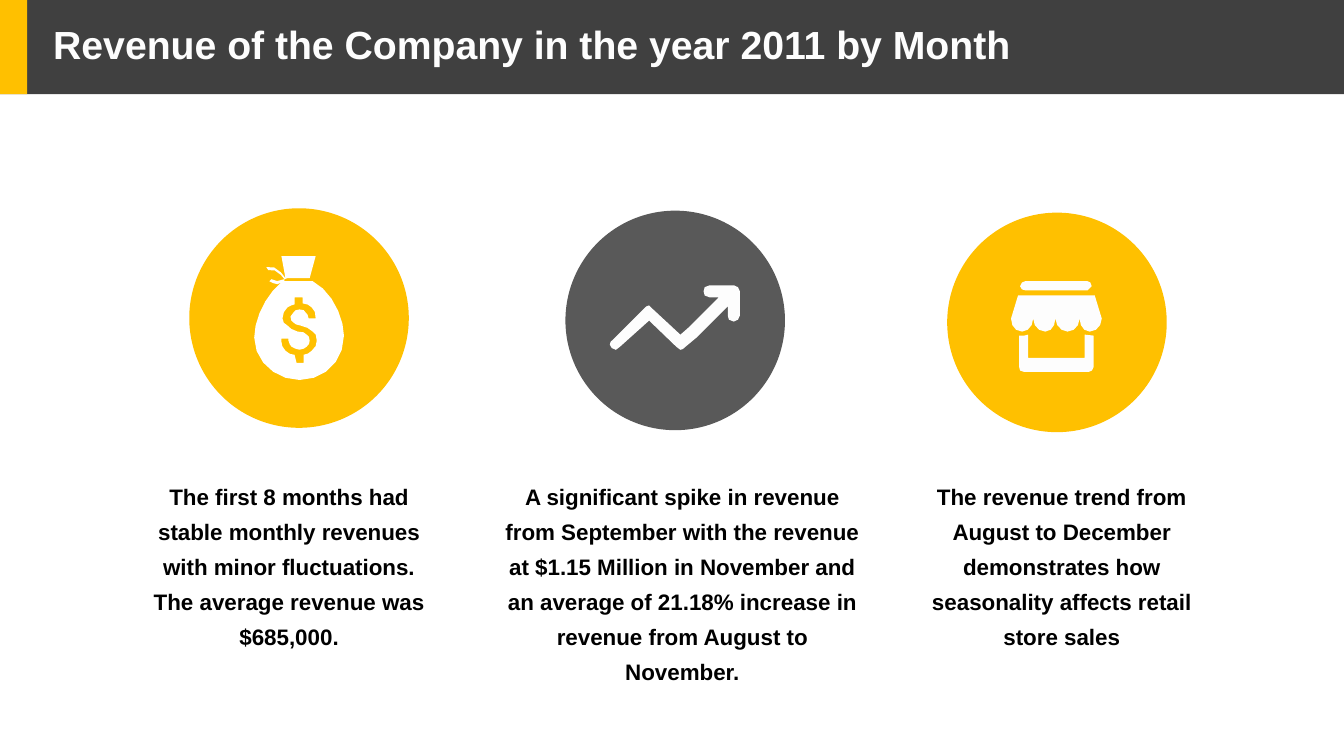
from dataclasses import dataclass
from math import dist, sqrt

from pptx import Presentation
from pptx.dml.color import RGBColor
from pptx.enum.shapes import MSO_SHAPE as Preset
from pptx.enum.text import MSO_ANCHOR as Anchor, MSO_AUTO_SIZE as AutoSize, PP_ALIGN as Align
from pptx.util import Pt


@dataclass(frozen=True)
class Theme:
    font: str = "Arial"
    band: str = "404040"
    accent: str = "FFC000"
    gray: str = "595959"
    light: str = "FDFDFD"
    white: str = "FFFFFF"
    ink: str = "000000"
    title_size: float = 28
    text_size: float = 16


# Icon outlines, one list per contour, in units of 0.72 pt:
# a pair is a corner, six numbers are a curve (two controls, then its end).
ICON_UNIT = 0.72

MONEY_BAG = [
    # Bag with its tie
    [(58, 25), (30, 25), (30, 23), (33, 22), (55, 22), (61, 0), (27, 0), (31, 22),
     (28, 17, 20, 8, 12, 11), (14, 14), (20, 11, 28, 20, 30, 23),
     (25, 25, 20, 26, 17, 23), (15, 25), (17, 26, 20, 28, 23, 28),
     (24, 28, 25, 28, 27, 26), (12, 38, 0, 62, 0, 81), (0, 104, 21, 123, 45, 123),
     (70, 123, 89, 104, 89, 79), (89, 60, 76, 34, 58, 25)],
    # Dollar sign cut out of the bag
    [(57, 94), (55, 97, 52, 97, 49, 98), (49, 106), (42, 106), (40, 98),
     (37, 98, 34, 97, 31, 94), (28, 91, 27, 88, 27, 85), (27, 82), (34, 82), (34, 84),
     (34, 87, 36, 88, 37, 90), (39, 91, 42, 93, 45, 93), (48, 93, 51, 91, 52, 90),
     (54, 88, 55, 87, 55, 84), (55, 81, 54, 79, 52, 78), (51, 76, 48, 75, 43, 75),
     (39, 73, 34, 72, 33, 69), (30, 68, 28, 65, 28, 62), (28, 57, 30, 54, 33, 51),
     (36, 50, 37, 48, 40, 48), (40, 41), (48, 41), (48, 47),
     (52, 48, 55, 48, 57, 51), (60, 53, 61, 57, 61, 62), (54, 62),
     (54, 59, 52, 57, 51, 56), (51, 54, 48, 53, 45, 53), (42, 53, 40, 54, 39, 56),
     (37, 57, 36, 59, 36, 60), (36, 63, 37, 65, 39, 66), (40, 68, 42, 68, 46, 69),
     (51, 70, 55, 72, 58, 75), (61, 76, 62, 79, 62, 84), (62, 88, 61, 91, 57, 94)],
]

TREND_ARROW = [
    [(123, 36), (118, 36, 117, 33, 117, 30), (117, 21), (87, 51), (75, 61),
     (73, 63, 72, 64, 70, 64), (69, 64, 67, 63, 66, 61), (39, 35), (10, 61),
     (9, 63, 7, 64, 6, 64), (3, 64, 0, 61, 0, 59), (0, 57, 1, 55, 3, 54), (34, 23),
     (36, 21, 37, 20, 39, 20), (40, 20, 42, 21, 42, 23), (70, 49), (78, 42), (82, 38),
     (108, 12), (99, 12), (94, 12, 93, 9, 93, 6), (93, 3, 94, 0, 99, 0), (123, 0),
     (126, 0, 129, 3, 129, 6), (129, 30), (129, 33, 126, 36, 123, 36)],
]

STORE = [
    # Awning
    [(90, 37), (90, 44, 85, 50, 78, 50), (72, 50, 68, 44, 68, 37),
     (68, 44, 63, 50, 56, 50), (50, 50, 44, 44, 44, 37), (44, 44, 40, 50, 34, 50),
     (27, 50, 22, 44, 22, 37), (22, 44, 17, 50, 11, 50), (4, 50, 0, 44, 0, 37),
     (7, 14), (83, 14)],
    # Roof bar
    [(76, 9), (14, 9), (12, 9, 9, 8, 9, 5), (9, 2, 12, 0, 14, 0), (76, 0),
     (78, 0, 80, 2, 80, 5), (80, 8, 78, 9, 76, 9)],
    # Shop front
    [(13, 54), (17, 53), (17, 76), (73, 76), (73, 53), (82, 54), (82, 85),
     (82, 88, 79, 90, 77, 90), (13, 90), (9, 90, 8, 88, 8, 85), (8, 54)],
]


def flatten(contour):
    """Turn corners and cubic curves into points, fewer for short curves."""
    points = [contour[0]]
    for segment in contour[1:]:
        if len(segment) == 2:
            points.append(segment)
            continue
        x0, y0 = points[-1]
        x1, y1, x2, y2, x3, y3 = segment
        steps = max(1, round(sqrt(dist((x0, y0), (x3, y3))) / 1.6))
        for step in range(1, steps + 1):
            t = step / steps
            a, b, c, d = (1 - t) ** 3, 3 * t * (1 - t) ** 2, 3 * t * t * (1 - t), t ** 3
            points.append((a * x0 + b * x1 + c * x2 + d * x3,
                           a * y0 + b * y1 + c * y2 + d * y3))
    # The contour closes itself, so a repeated start is dropped
    return points[:-1] if points[-1] == points[0] else points


def write(frame, text, *, font, size, color, align, spacing, margins=(0, 0),
          wrap=True, anchor=Anchor.TOP):
    """Put one bold formatted paragraph into a text frame."""
    frame.word_wrap = wrap
    frame.auto_size = AutoSize.SHAPE_TO_FIT_TEXT
    frame.vertical_anchor = anchor
    frame.margin_left = frame.margin_right = Pt(margins[0])
    frame.margin_top = frame.margin_bottom = Pt(margins[1])
    para = frame.paragraphs[0]
    para.alignment, para.line_spacing, para.space_before = align, spacing, Pt(0)
    span = para.add_run()
    span.text = text
    span.font.name, span.font.size, span.font.bold = font, Pt(size), True
    span.font.color.rgb = RGBColor.from_string(color)


class SlideBuilder:
    def __init__(self, page, theme):
        self.page, self.theme = page, theme

    def paint(self, shape, color):
        shape.shadow.inherit = False
        shape.fill.solid()
        shape.fill.fore_color.rgb = RGBColor.from_string(color)
        shape.line.fill.background()

    def shape(self, preset, left, top, width, height, color):
        shape = self.page.shapes.add_shape(
            preset, Pt(left), Pt(top), Pt(width), Pt(height))
        self.paint(shape, color)

    def icon(self, contours, left, top, color):
        unit = Pt(ICON_UNIT)
        builder = None
        for contour in contours:
            points = [(x * unit, y * unit) for x, y in flatten(contour)]
            if builder is None:
                builder = self.page.shapes.build_freeform(*points[0])
            else:
                builder.move_to(*points[0])
            builder.add_line_segments(points[1:], close=True)
        self.paint(builder.convert_to_shape(Pt(left), Pt(top)), color)

    def title(self, text, left, top, width, height):
        box = self.page.shapes.title
        box.left, box.top, box.width, box.height = map(Pt, (left, top, width, height))
        # Bring the title in front of the header band
        box.element.getparent().append(box.element)
        write(box.text_frame, text, font=self.theme.font, size=self.theme.title_size,
              color=self.theme.light, align=Align.LEFT, spacing=0.9,
              margins=(7.2, 3.6), wrap=False, anchor=Anchor.MIDDLE)

    def text(self, text, left, top, width, height):
        box = self.page.shapes.add_textbox(Pt(left), Pt(top), Pt(width), Pt(height))
        write(box.text_frame, text, font=self.theme.font, size=self.theme.text_size,
              color=self.theme.ink, align=Align.CENTER, spacing=1.3)


def main():
    deck = Presentation()
    deck.slide_width, deck.slide_height = Pt(960), Pt(540)
    theme = Theme()
    slide = SlideBuilder(deck.slides.add_slide(deck.slide_layouts[5]), theme)

    # Header
    slide.shape(Preset.RECTANGLE, 0, 0, 960, 67.2, theme.band)
    slide.shape(Preset.RECTANGLE, 0, 0, 19.4, 67.2, theme.accent)
    slide.title("Revenue of the Company in the year 2011 by Month", 30.8, 15, 700, 37.5)

    # Columns: circle (left, top, color), icon (outline, left, top, color),
    # text (left, width, height, wording)
    columns = [
        ((135.2, 148.8, theme.accent), (MONEY_BAG, 181.6, 182.9, theme.white),
         (103.5, 206, 149, "The first 8 months had stable monthly revenues with minor "
          "fluctuations. The average revenue was $685,000.")),
        ((403.9, 150.5, theme.gray), (TREND_ARROW, 435.6, 203.8, theme.light),
         (360.7, 253.4, 174, "A significant spike in revenue from September with the "
          "revenue at $1.15 Million in November and an average of 21.18% increase in "
          "revenue from August to November.")),
        ((676.6, 151.9, theme.accent), (STORE, 722.2, 200.9, theme.light),
         (655.4, 206, 126, "The revenue trend from August to December demonstrates how "
          "seasonality affects retail store sales")),
    ]
    diameter, text_top = 156.8, 339.4
    for (left, top, color), icon, (text_left, width, height, wording) in columns:
        slide.shape(Preset.OVAL, left, top, diameter, diameter, color)
        slide.icon(*icon)
        slide.text(wording, text_left, text_top, width, height)

    deck.save("out.pptx")


if __name__ == "__main__":
    main()
